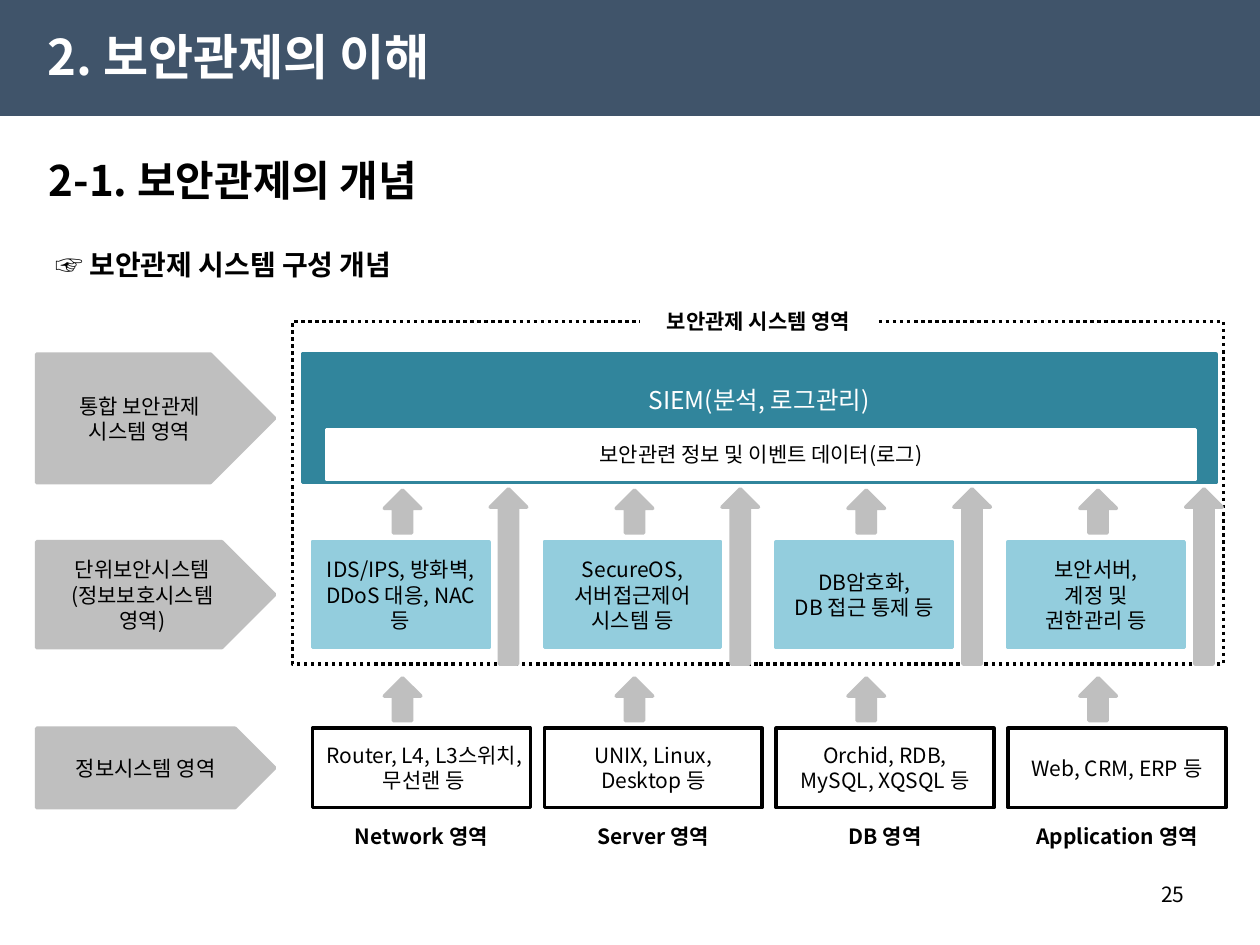
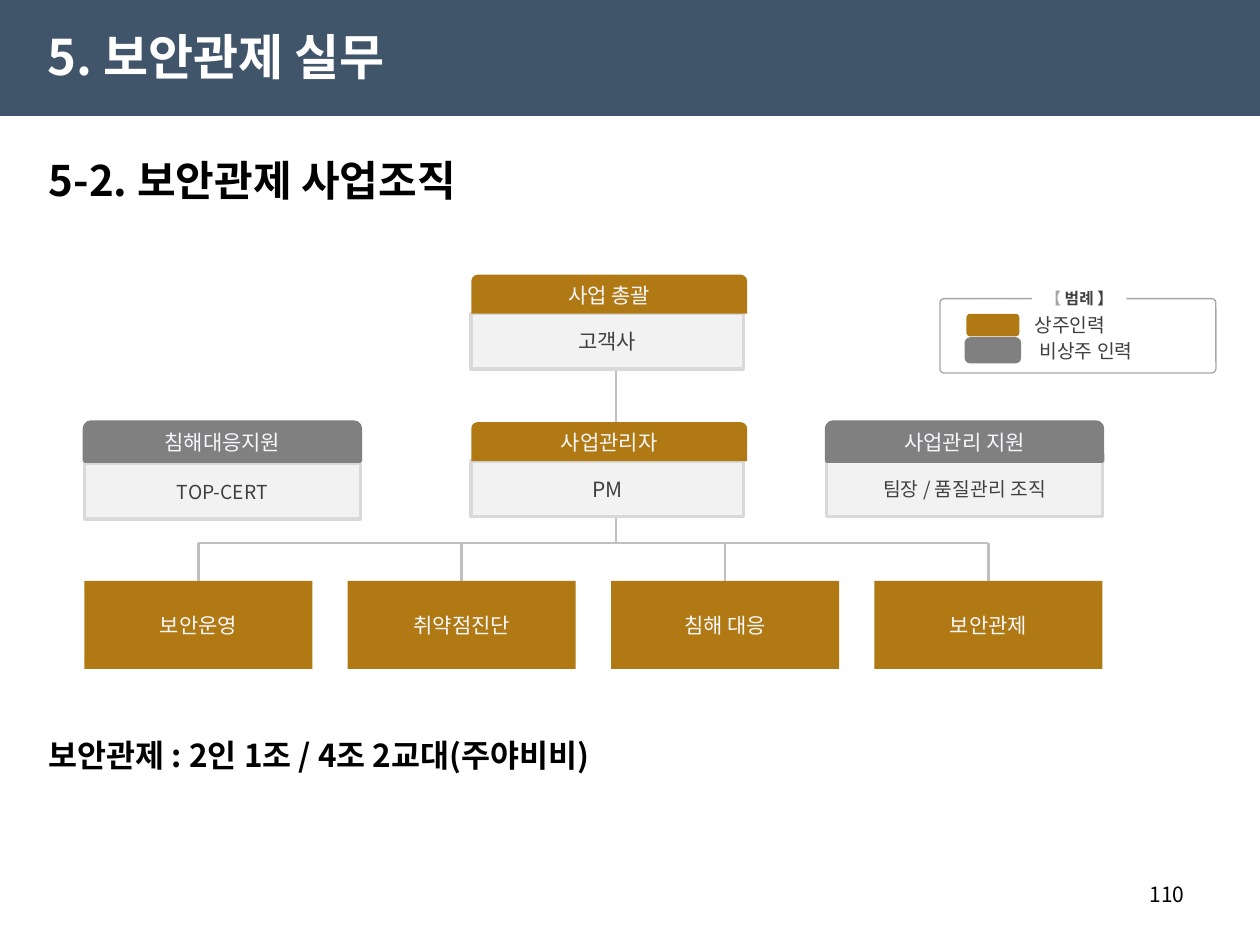
import pptx
import pptx.util
import pptx.dml.color
import pptx.enum.dml
import pptx.enum.shapes
import pptx.enum.text
from lxml import etree

RGBColor = pptx.dml.color.RGBColor
Inches = pptx.util.Inches
Pt = pptx.util.Pt
SHAPE = pptx.enum.shapes.MSO_SHAPE
ALIGN = pptx.enum.text.PP_ALIGN
ANCHOR = pptx.enum.text.MSO_ANCHOR

NAVY = RGBColor(0x40, 0x54, 0x6A)
BLACK = RGBColor(0, 0, 0)
WHITE = RGBColor(0xFF, 0xFF, 0xFF)
SILVER = RGBColor(0xBF, 0xBF, 0xBF)
TEAL = RGBColor(0x31, 0x85, 0x9C)
SKY = RGBColor(0x93, 0xCD, 0xDD)
GOLD = RGBColor(0xB1, 0x79, 0x13)
GRAY = RGBColor(0x80, 0x80, 0x80)
PALE = RGBColor(0xF2, 0xF2, 0xF2)
PALE_EDGE = RGBColor(0xD9, 0xD9, 0xD9)
MID_GRAY = RGBColor(0xA6, 0xA6, 0xA6)
CHARCOAL = RGBColor(0x40, 0x40, 0x40)
ICE = RGBColor(0xF6, 0xF8, 0xFC)

FONT = "Noto Sans CJK KR"
DRAWING = "http://schemas.openxmlformats.org/drawingml/2006/main"
WIDTH, HEIGHT = 10, 7.5
MARGIN = 0.29

CONCEPT = {
    "title": "2. 보안관제의 이해",
    "section": "2-1. 보안관제의 개념",
    "page": "25",
    "topic": "☞ 보안관제 시스템 구성 개념",
    "frame": "보안관제 시스템 영역",
    "siem": "SIEM(분석, 로그관리)",
    "log": "보안관련 정보 및 이벤트 데이터(로그)",
}
LAYERS = [
    ("통합 보안관제\n시스템 영역", 2.81, 1.02),
    ("단위보안시스템\n(정보보호시스템\n영역)", 4.3, 0.84),
    ("정보시스템 영역", 5.78, 0.63),
]
DOMAINS = [
    ("Network 영역", "IDS/IPS, 방화벽, DDoS 대응, NAC 등",
     "Router, L4, L3스위치, 무선랜 등"),
    ("Server 영역", "SecureOS,\n서버접근제어\n시스템 등",
     "UNIX, Linux,\nDesktop 등"),
    ("DB 영역", "DB암호화,\nDB 접근 통제 등",
     "Orchid, RDB,\nMySQL, XQSQL 등"),
    ("Application 영역", "보안서버,\n계정 및\n권한관리 등",
     "Web, CRM, ERP 등"),
]
DOMAIN_LEFT, DOMAIN_STEP = 2.48, 1.84

ORGANIZATION = {
    "title": "5. 보안관제 실무",
    "section": "5-2. 보안관제 사업조직",
    "page": "110",
    "shift": "보안관제 : 2인 1조 / 4조 2교대(주야비비)",
}
ROLES = [
    ("사업 총괄", "고객사", 3.74, 2.18, 2.16, 0.31, GOLD, 12),
    ("사업관리자", "PM", 3.74, 3.35, 2.16, 0.31, GOLD, 12),
    ("침해대응지원", "TOP-CERT", 0.67, 3.35, 2.19, 0.33, GRAY, 11),
    ("사업관리 지원", "팀장 / 품질관리 조직", 6.56, 3.35, 2.19, 0.31, GRAY, 11),
]
TEAMS = ["보안운영", "취약점진단", "침해 대응", "보안관제"]
TEAM_LEFT, TEAM_STEP, TEAM_WIDTH = 0.67, 2.09, 1.81
STEM_X, BUS_Y = 4.89, 4.31
LEGEND_TITLE = [("【 ", MID_GRAY), ("범례 ", CHARCOAL), ("】", CHARCOAL)]
LEGEND = [("상주인력", GOLD, 8.21), ("비상주 인력", GRAY, 8.25)]


def write(shape, text, size=12, color=BLACK, bold=False, align=ALIGN.CENTER,
          anchor=ANCHOR.MIDDLE, insets=(0.1, 0.05, 0.1, 0.05), spacing=None):
    frame = shape.text_frame
    frame.word_wrap = True
    frame.auto_size = pptx.enum.text.MSO_AUTO_SIZE.NONE
    frame.vertical_anchor = anchor
    (frame.margin_left, frame.margin_top,
     frame.margin_right, frame.margin_bottom) = map(Inches, insets)
    if isinstance(text, str):
        lines = [[(line, color)] for line in text.split("\n")]
    else:
        lines = [text]
    for index, line in enumerate(lines):
        paragraph = frame.add_paragraph() if index else frame.paragraphs[0]
        paragraph.alignment = align
        if spacing:
            paragraph.line_spacing = spacing
        for words, tint in line:
            run = paragraph.add_run()
            run.text = words
            run.font.size = Pt(size)
            run.font.bold = bold
            run.font.color.rgb = tint
            run.font.name = FONT
            east_asian = etree.SubElement(run.font._element, f"{{{DRAWING}}}ea")
            east_asian.set("typeface", FONT)


def draw(slide, kind, box, fill=None, line=None, weight=2, text=None, **style):
    shape = slide.shapes.add_shape(kind, *map(Inches, box))
    shape.shadow.inherit = False
    if fill is None:
        shape.fill.background()
    else:
        shape.fill.solid()
        shape.fill.fore_color.rgb = fill
    if line is None:
        shape.line.fill.background()
    else:
        shape.line.color.rgb = line
        shape.line.width = Pt(weight)
    if text:
        write(shape, text, **style)
    return shape


def label(slide, box, text, **style):
    write(slide.shapes.add_textbox(*map(Inches, box)), text, **style)


def join(slide, start, end):
    branch = slide.shapes.add_connector(
        pptx.enum.shapes.MSO_CONNECTOR.STRAIGHT, *map(Inches, start + end))
    branch.line.color.rgb = SILVER
    branch.line.width = Pt(1.5)
    etree.SubElement(branch._element.spPr, f"{{{DRAWING}}}effectLst")
    return branch


def start_slide(deck, content):
    slide = deck.slides.add_slide(deck.slide_layouts[5])
    heading = slide.shapes.title
    heading.left, heading.top, heading.width, heading.height = map(
        Inches, (0.28, 0.13, 4.72, 0.63))
    write(heading, content["title"], size=28, color=WHITE, bold=True, align=ALIGN.LEFT)
    label(slide, (MARGIN, 1.15, 9.43, 0.55), content["section"],
          size=24, bold=True, align=ALIGN.LEFT)
    label(slide, (7.17, 6.95, 2.33, 0.4), content["page"],
          align=ALIGN.RIGHT, anchor=ANCHOR.TOP)
    return slide


def add_band(slide):
    band = draw(slide, SHAPE.RECTANGLE, (0, 0, WIDTH, 0.92), NAVY)
    slide.slide_layout.shapes.element.insert(2, band.element)


def build_concept(deck):
    slide = start_slide(deck, CONCEPT)
    add_band(slide)
    label(slide, (MARGIN, 1.78, 9.43, 0.45), CONCEPT["topic"], size=16, bold=True,
          align=ALIGN.LEFT, anchor=ANCHOR.TOP, insets=(0.15, 0.05, 0.1, 0.05),
          spacing=1.5)
    for layer, top, height in LAYERS:
        draw(slide, SHAPE.PENTAGON, (MARGIN, top, 1.89, height), SILVER, SILVER,
             text=layer)
    border = draw(slide, SHAPE.RECTANGLE, (2.32, 2.55, 7.39, 2.72), line=BLACK)
    border.line.dash_style = pptx.enum.dml.MSO_LINE.ROUND_DOT
    draw(slide, SHAPE.RECTANGLE, (2.4, 2.81, 7.25, 1.02), TEAL, TEAL,
         text=CONCEPT["siem"], size=14, color=WHITE, insets=(0.1, 0.05, 0.1, 0.35))
    draw(slide, SHAPE.RECTANGLE, (2.59, 3.41, 6.9, 0.39), WHITE, WHITE,
         text=CONCEPT["log"])
    for column, (domain, security, systems) in enumerate(DOMAINS):
        left = DOMAIN_LEFT + column * DOMAIN_STEP
        draw(slide, SHAPE.RECTANGLE, (left, 5.78, 1.73, 0.63), line=BLACK, text=systems)
        draw(slide, SHAPE.RECTANGLE, (left, 4.3, 1.4, 0.84), SKY, SKY, text=security)
        for offset, top, height in [(1.41, 3.88, 1.39), (0.57, 5.38, 0.34),
                                    (0.57, 3.89, 0.34)]:
            draw(slide, SHAPE.UP_ARROW, (left + offset, top, 0.29, height),
                 SILVER, SILVER)
        draw(slide, SHAPE.RECTANGLE, (left + 0.08, 6.54, 1.57, 0.2), WHITE,
             text=domain, bold=True)
    draw(slide, SHAPE.RECTANGLE, (5.08, 2.45, 1.88, 0.2), WHITE,
         text=CONCEPT["frame"], bold=True)


def build_organization(deck):
    slide = start_slide(deck, ORGANIZATION)
    join(slide, (STEM_X, 2.92), (STEM_X, BUS_Y))
    centers = []
    for column, team in enumerate(TEAMS):
        left = TEAM_LEFT + column * TEAM_STEP
        centers.append(left + TEAM_WIDTH / 2)
        unit = draw(slide, SHAPE.RECTANGLE, (left, 4.61, TEAM_WIDTH, 0.7), GOLD,
                    text=team, color=ICE)
        drop = join(slide, (centers[-1], BUS_Y), (centers[-1], 4.61))
        drop.end_connect(unit, 0)
    join(slide, (centers[0], BUS_Y), (centers[-1], BUS_Y))

    for role, holder, left, top, width, drop, color, size in ROLES:
        draw(slide, SHAPE.RECTANGLE, (left, top + drop, width, 0.44), PALE, PALE_EDGE,
             text=holder, size=size, color=CHARCOAL)
        draw(slide, SHAPE.ROUND_2_SAME_RECTANGLE, (left, top, 2.19, 0.31), color,
             GRAY if color == GRAY else None, text=role, color=ICE)

    legend = draw(slide, SHAPE.ROUNDED_RECTANGLE, (7.46, 2.37, 2.19, 0.59),
                  line=MID_GRAY, weight=0.75)
    legend.adjustments[0] = 0.055
    draw(slide, SHAPE.RECTANGLE, (8.19, 2.29, 0.75, 0.15), WHITE,
         text=LEGEND_TITLE, size=9, bold=True, insets=(0, 0, 0, 0))
    for row, (staff, color, left) in enumerate(LEGEND):
        top = 2.49 + row * 0.2
        draw(slide, SHAPE.ROUNDED_RECTANGLE, (7.67, top, 0.42, 0.18), color,
             GRAY if color == GRAY else None)
        label(slide, (left, top, 1.27, 0.18), staff, size=11, color=CHARCOAL,
              align=ALIGN.LEFT, insets=(0, 0, 0, 0))
    label(slide, (MARGIN, 5.79, 9.43, 0.4), ORGANIZATION["shift"], size=18, bold=True,
          align=ALIGN.LEFT, anchor=ANCHOR.TOP)


def main():
    deck = pptx.Presentation()
    deck.slide_width, deck.slide_height = Inches(WIDTH), Inches(HEIGHT)
    build_concept(deck)
    build_organization(deck)
    deck.save("out.pptx")


if __name__ == "__main__":
    main()
